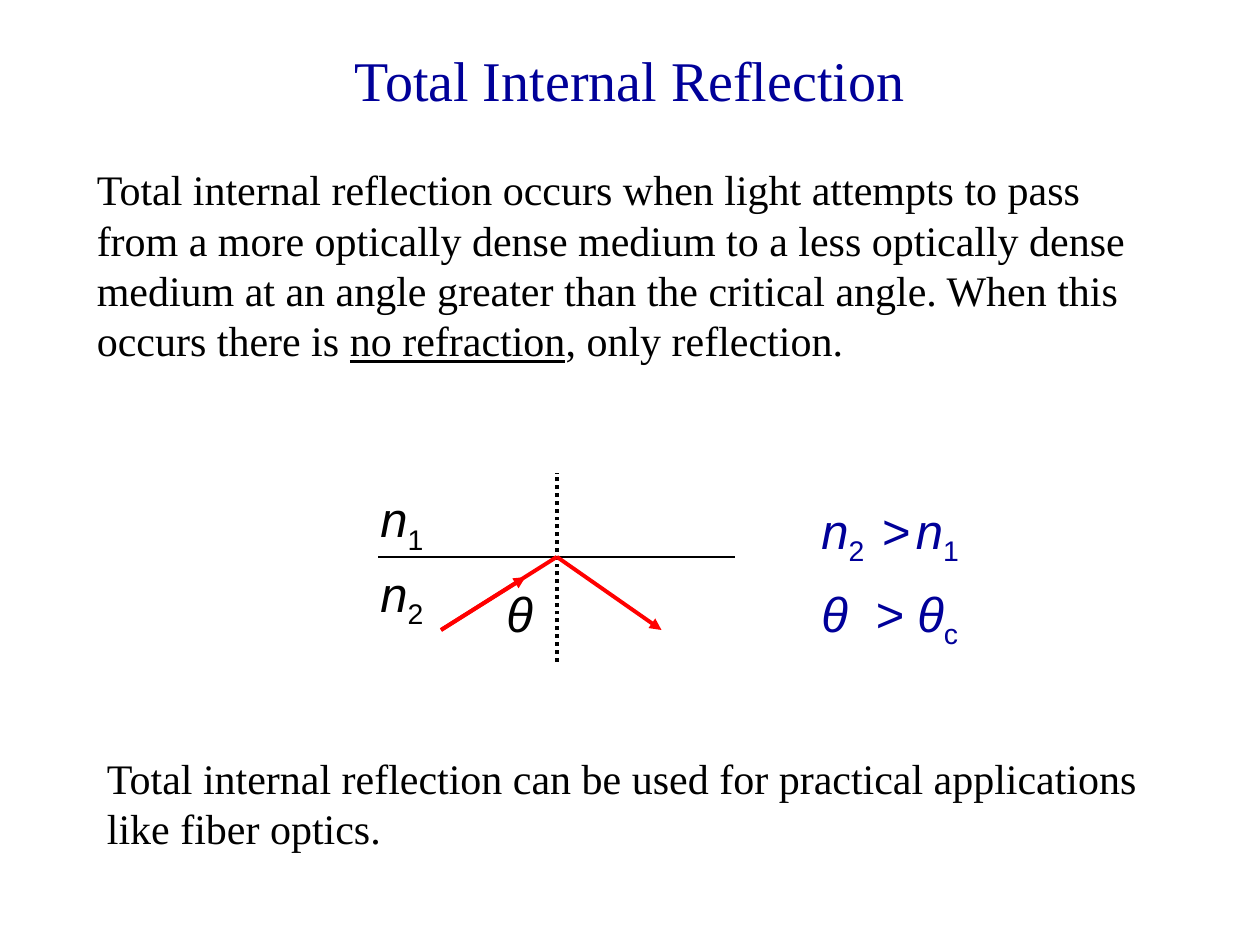
from lxml import etree
from pptx import Presentation
from pptx.dml.color import RGBColor
from pptx.enum.dml import MSO_LINE
from pptx.enum.shapes import MSO_CONNECTOR
from pptx.enum.text import MSO_ANCHOR, PP_ALIGN
from pptx.oxml.ns import qn
from pptx.util import Inches, Pt

STRAIGHT = MSO_CONNECTOR.STRAIGHT
DOTTED = MSO_LINE.ROUND_DOT
TOP, MIDDLE = MSO_ANCHOR.TOP, MSO_ANCHOR.MIDDLE
LEFT, CENTER = PP_ALIGN.LEFT, PP_ALIGN.CENTER

NAVY, BLACK, RED = "000099", "000000", "FF0000"
TITLE = {"name": "Times New Roman", "size": Pt(32)}
PROSE = {"name": "Times New Roman", "size": Pt(24)}
SYMBOL = {"name": "Arial", "size": Pt(28)}

ITALIC = {"italic": True}
UNDERLINED = {"underline": True}
SUBSCRIPT = {"baseline": "-25000"}


def rgb(value):
    return RGBColor.from_string(value)


def wide_space(extra):
    return " ", {"spc": str(round(extra * 100))}


class OpticsSlide:
    def __init__(self, deck):
        self.slide = deck.slides.add_slide(deck.slide_layouts[6])

    def text(self, box, runs, style, color=BLACK, align=LEFT, anchor=TOP):
        frame = self.slide.shapes.add_textbox(*map(Inches, box)).text_frame
        frame.word_wrap = True
        frame.vertical_anchor = anchor
        paragraph = frame.paragraphs[0]
        paragraph.alignment = align
        for wording, extras in runs:
            run = paragraph.add_run()
            run.text = wording
            run.font.color.rgb = rgb(color)
            for key, value in {**style, **extras}.items():
                if key in ("baseline", "spc"):
                    run.font._element.set(key, value)
                else:
                    setattr(run.font, key, value)

    def line(self, start, end, color=BLACK, width=2.25, dash=None, arrow=False):
        connector = self.slide.shapes.add_connector(
            STRAIGHT, *map(Inches, (*start, *end)))
        line_format = {"width": Pt(width), "dash_style": dash}
        for key, value in line_format.items():
            setattr(connector.line, key, value)
        connector.line.color.rgb = rgb(color)
        properties = connector._element.spPr
        if arrow:
            outline = properties.find(qn("a:ln"))
            etree.SubElement(outline, qn("a:tailEnd"), type="triangle")
        etree.SubElement(properties, qn("a:effectLst"))

    def index(self, left, top, number, color=BLACK):
        runs = [("n", ITALIC), (number, SUBSCRIPT)]
        self.text((left, top, 0.67, 0.63), runs, SYMBOL, color)


def main():
    deck = Presentation()
    deck.slide_width, deck.slide_height = Inches(10), Inches(7.5)
    page = OpticsSlide(deck)

    page.text((0.75, 0, 8.5, 1.25), [("Total Internal Reflection", {})],
              TITLE, NAVY, CENTER, MIDDLE)
    page.text((0.67, 1.25, 8.67, 1.7), [
        ("Total internal reflection occurs when light attempts to pass from a "
         "more optically dense medium to a less optically dense medium at an "
         "angle greater than the critical angle. When this occurs there is ", {}),
        ("no refraction", UNDERLINED),
        (", only reflection.", {}),
    ], PROSE)

    incidence = (4.42, 4.42)
    source = (3.5, 5)
    page.line((3, 4.42), (5.83, 4.42), width=0.75)
    page.line((4.42, 5.25), (4.42, 3.75), dash=DOTTED)
    page.line(incidence, source, RED)
    page.index(2.92, 3.83, "1")
    page.index(2.92, 4.42, "2")
    page.line(incidence, (5.25, 5), RED, arrow=True)
    page.line(source, (4.17, 4.58), RED, arrow=True)

    page.text((0.75, 5.92, 8.58, 0.9), [
        ("Total internal reflection can be used for practical applications "
         "like fiber optics.", {}),
    ], PROSE)

    page.text((6.42, 4.58, 1.42, 0.63), [
        ("θ", ITALIC), wide_space(7.8), ("> θ", ITALIC), ("c", SUBSCRIPT),
    ], SYMBOL, NAVY)
    page.text((3.92, 4.58, 1, 0.57), [("θ", ITALIC)], SYMBOL)
    page.index(7.17, 3.92, "1", NAVY)
    page.text((6.42, 3.92, 1, 0.63), [
        ("n", ITALIC), ("2", SUBSCRIPT), wide_space(2.4), (">", {}),
    ], SYMBOL, NAVY)

    deck.save("out.pptx")


if __name__ == "__main__":
    main()
